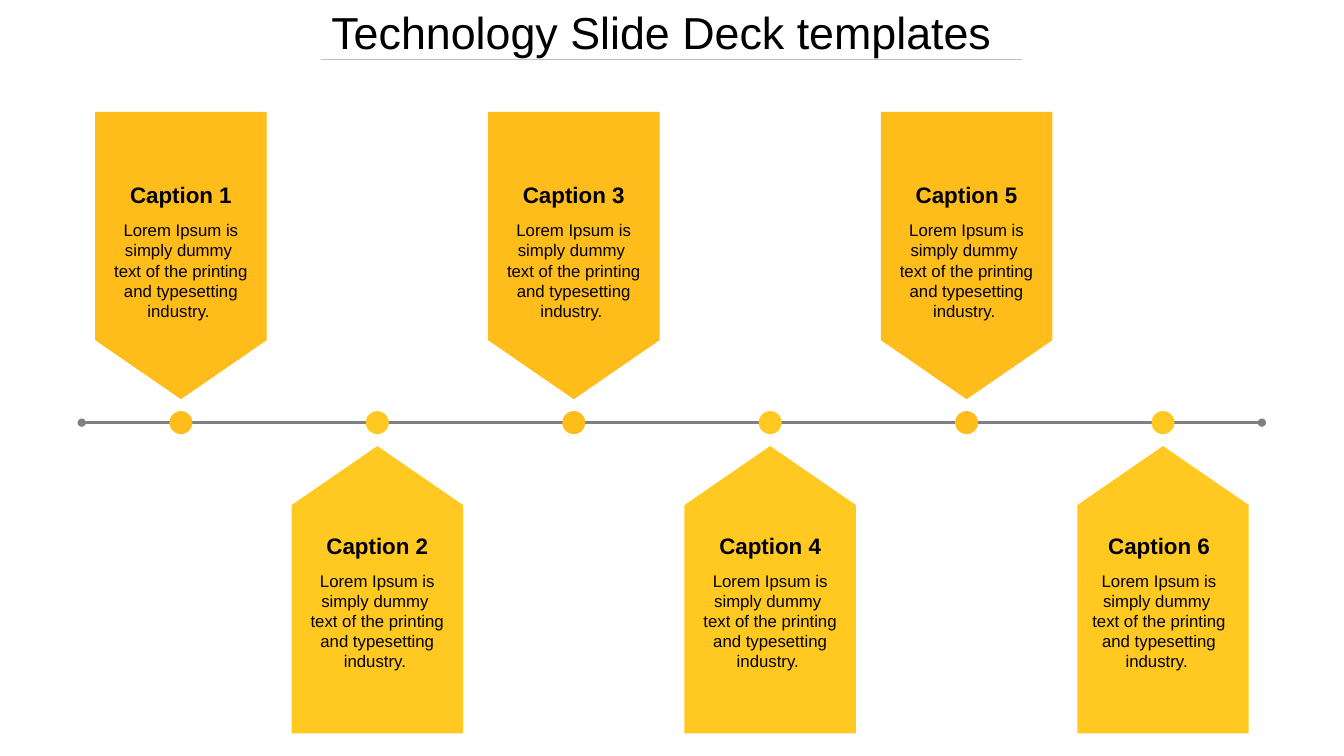
from lxml import etree
from pptx import Presentation
from pptx import util as u
from pptx.dml.color import RGBColor
from pptx.enum import shapes, text
from pptx.oxml import ns

COLORS = {"amber": "FFBD1B", "yellow": "FFC922", "axis": "808080",
          "rule": "BFBFBF", "text": "000000"}
BODY = ("Lorem Ipsum is simply dummy ",
        "text of the printing and typesetting industry. ")

presentation = Presentation()
presentation.slide_width, presentation.slide_height = u.Cm(33.87), u.Cm(19.05)
slide = presentation.slides.add_slide(presentation.slide_layouts[6])


def add_text(left, top, width, height, lines, size, bold=False,
             align=text.PP_ALIGN.CENTER):
    """Add a text box holding one paragraph, with line breaks between lines."""
    box = slide.shapes.add_textbox(u.Cm(left), u.Cm(top), u.Cm(width), u.Cm(height))
    box.text_frame.word_wrap = True
    paragraph = box.text_frame.paragraphs[0]
    paragraph.alignment = align
    paragraph.line_spacing = u.Pt(size * 1.2)
    for number, line in enumerate(lines):
        if number:
            paragraph.add_line_break()
        run = paragraph.add_run()
        run.text = line
        run.font.name = "Arial"
        run.font.size = u.Pt(size)
        run.font.bold = bold
        run.font.color.rgb = RGBColor.from_string(COLORS["text"])


# Title rule and timeline axis
axis_y = 10.65
for left, right, y, color, weight, ends in (
        (8.1, 25.76, 1.5, "rule", 0.5, ()),
        (2.06, 31.8, axis_y, "axis", 1.75, ("headEnd", "tailEnd"))):
    connector = slide.shapes.add_connector(
        shapes.MSO_CONNECTOR.STRAIGHT, u.Cm(left), u.Cm(y), u.Cm(right), u.Cm(y))
    connector.line.color.rgb = RGBColor.from_string(COLORS[color])
    connector.line.width = u.Pt(weight)
    for end in ends:
        etree.SubElement(connector.line._get_or_add_ln(), ns.qn("a:" + end), type="oval")
    etree.SubElement(connector._element.spPr, ns.qn("a:effectLst"))

add_text(8.1, 0, 17.66, 1.62, ["Technology Slide Deck templates"], 32,
         align=text.PP_ALIGN.LEFT)

# Milestones alternate above and below the axis
first_x, pitch = 4.56, 4.95
dot_size, tag_length, tag_width, tag_offset = 0.58, 7.24, 4.32, 4.21
for index in range(6):
    x = first_x + index * pitch
    above = index % 2 == 0
    tag_y = axis_y - tag_offset if above else axis_y + tag_offset
    dot = slide.shapes.add_shape(
        shapes.MSO_SHAPE.OVAL, u.Cm(x - dot_size / 2), u.Cm(axis_y - dot_size / 2),
        u.Cm(dot_size), u.Cm(dot_size))
    tag = slide.shapes.add_shape(
        shapes.MSO_SHAPE.PENTAGON, u.Cm(x - tag_length / 2), u.Cm(tag_y - tag_width / 2),
        u.Cm(tag_length), u.Cm(tag_width))
    tag.adjustments[0] = 0.344
    tag.rotation = 90 if above else 270
    for shape in (dot, tag):
        shape.shadow.inherit = False
        shape.fill.solid()
        shape.fill.fore_color.rgb = RGBColor.from_string(
            COLORS["amber" if above else "yellow"])
        shape.line.fill.background()

    # The last caption sits slightly left of its tag
    text_left = x - tag_width / 2 - (0.1 if index == 5 else 0)
    caption_top = 4.45 if above else 13.28
    add_text(text_left, caption_top, tag_width, 0.97, [f"Caption {index + 1}"], 16, bold=True)
    add_text(text_left, caption_top + 0.97, tag_width, 2.82, BODY, 12)

presentation.save("out.pptx")
